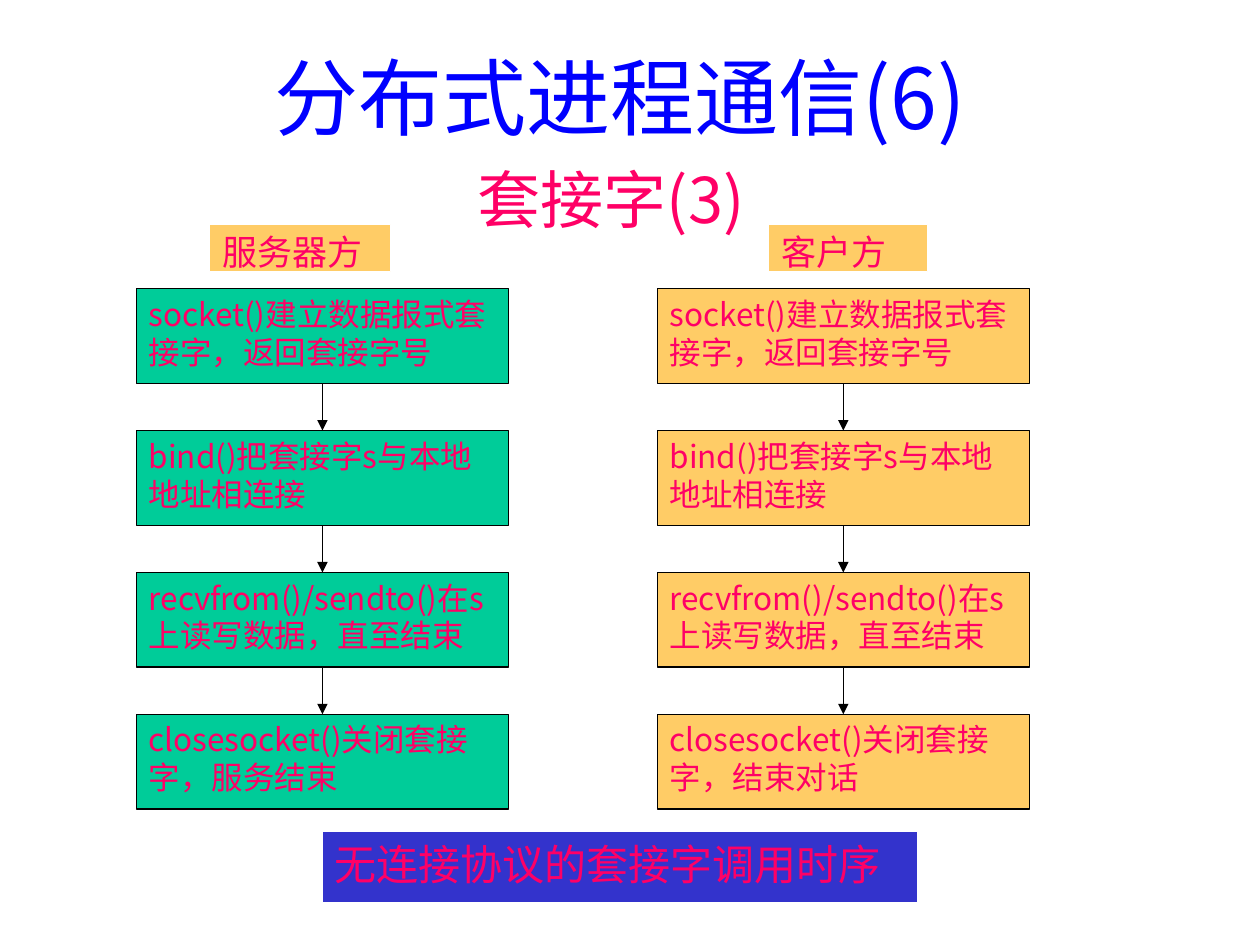
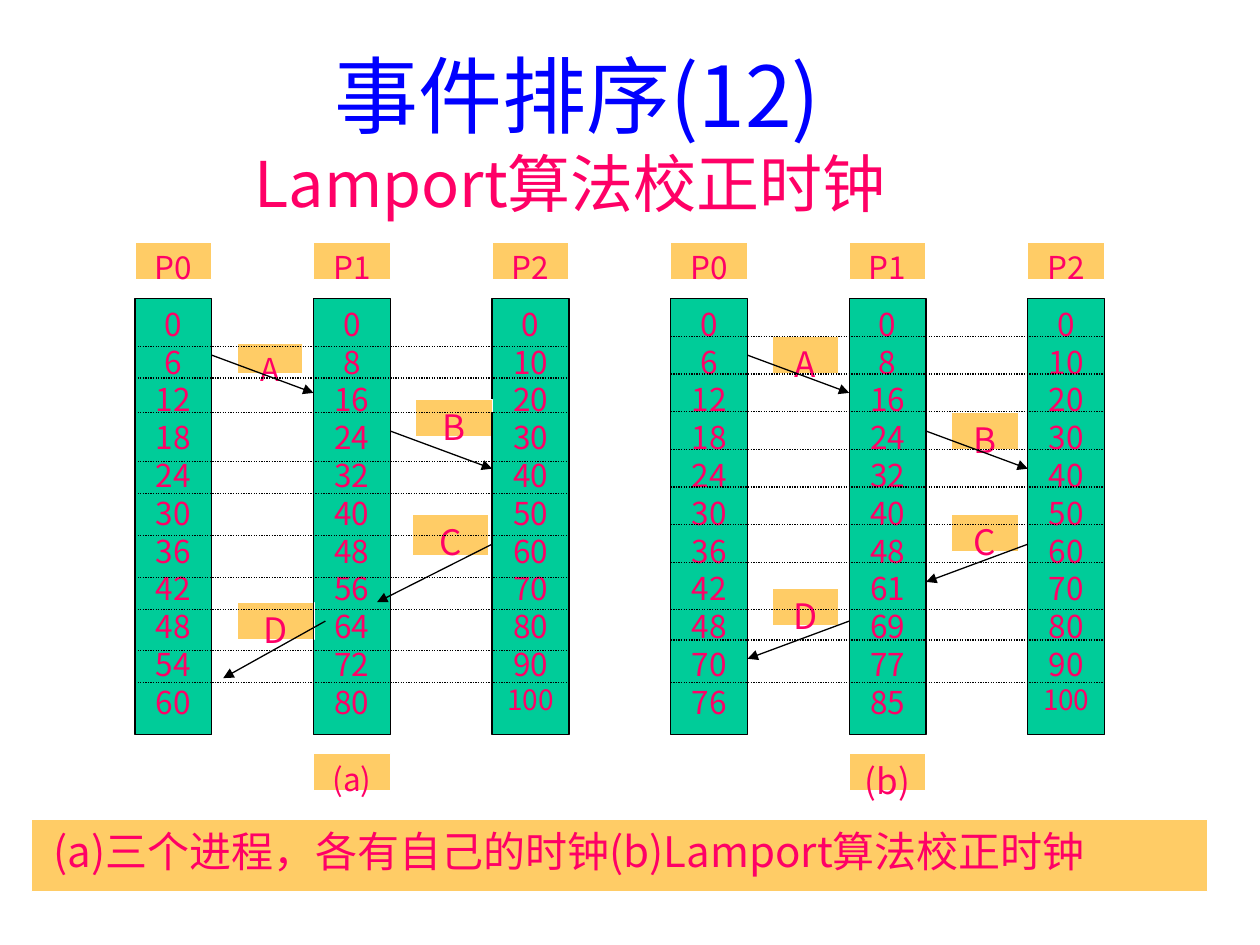
from dataclasses import dataclass
from typing import Iterable, NamedTuple

from lxml.etree import SubElement
from pptx import Presentation
from pptx.dml.color import RGBColor
from pptx.enum.dml import MSO_LINE
from pptx.enum.shapes import MSO_CONNECTOR, MSO_SHAPE
from pptx.enum.text import MSO_ANCHOR, PP_ALIGN
from pptx.oxml.ns import qn
from pptx.presentation import Presentation as Deck
from pptx.shapes.autoshape import Shape
from pptx.slide import Slide
from pptx.util import Cm, Pt

FONT = "Noto Sans CJK JP"
COLORS = {
    "title": "0000FF",
    "text": "FF0066",
    "green": "00CC99",
    "orange": "FFCC66",
    "blue": "3333CC",
    "black": "000000",
    "white": "FFFFFF",
}
LINE_WIDTH = Pt(0.75)


class Area(NamedTuple):
    """A rectangle in centimetres."""
    left: float
    top: float
    width: float
    height: float

    def lengths(self) -> list[Cm]:
        return [Cm(value) for value in self]


class Arrow(NamedTuple):
    """Start and end in centimetres."""
    x1: float
    y1: float
    x2: float
    y2: float


class Message(NamedTuple):
    name: str
    label: Area
    size: int
    arrow: Arrow


@dataclass
class Flow:
    """One side of the socket call sequence."""
    heading: str
    heading_area: Area
    left: float
    fill: str
    closing: str


@dataclass
class ClockPanel:
    """Three process clocks; message positions count from the panel's left."""
    left: float
    tag: str
    tag_size: int
    clocks: list[Iterable[int]]
    ticks: list[float]
    messages: list[Message]


def color(name: str) -> RGBColor:
    return RGBColor.from_string(COLORS[name])


def style_run(span, size: int, tint: str = "text") -> None:
    span.font.size = Pt(size)
    span.font.name = FONT
    span.font.color.rgb = color(tint)
    SubElement(span._r.get_or_add_rPr(), qn("a:ea"), typeface=FONT)


def add_title(page: Slide, area: Area, title: str, subtitle: str, end_size: int) -> None:
    """Add title and subtitle; end_size is the size of the closing space."""
    frame = page.shapes.add_textbox(*area.lengths()).text_frame
    frame.word_wrap = True
    frame.vertical_anchor = MSO_ANCHOR.MIDDLE
    para = frame.paragraphs[0]
    para.text = f"{title}\v{subtitle}"
    para.alignment = PP_ALIGN.CENTER
    para.add_run().text = " "
    for span, size, tint in zip(para.runs, (48, 36, end_size), ("title", "text", "title")):
        style_run(span, size, tint)


def add_box(page: Slide, area: Area, text: str, size: int, fill: str = "orange",
            edge: str = "white", align: PP_ALIGN = PP_ALIGN.LEFT) -> Shape:
    box = page.shapes.add_shape(MSO_SHAPE.RECTANGLE, *area.lengths())
    box.shadow.inherit = False
    box.fill.solid()
    box.fill.fore_color.rgb = color(fill)
    box.line.color.rgb = color(edge)
    box.line.width = LINE_WIDTH
    frame = box.text_frame
    frame.word_wrap = True
    frame.vertical_anchor = MSO_ANCHOR.TOP
    frame.text = text
    for para in frame.paragraphs:
        para.alignment = align
        for span in para.runs:
            style_run(span, size)
    return box


def add_line(page: Slide, ends: Arrow, head: bool = False, dotted: bool = False) -> None:
    line = page.shapes.add_connector(MSO_CONNECTOR.STRAIGHT, *(Cm(value) for value in ends))
    line.line.color.rgb = color("black")
    line.line.width = LINE_WIDTH
    if dotted:
        line.line.dash_style = MSO_LINE.ROUND_DOT
    properties = line._element.spPr
    if head:
        SubElement(properties.find(qn("a:ln")), qn("a:tailEnd"), type="triangle")
    SubElement(properties, qn("a:effectLst"))


STEP_WIDTH, STEP_HEIGHT = 7.5, 1.91
STEP_TOP, STEP_PITCH = 5.82, 2.86
SHARED_STEPS = [
    "socket()建立数据报式套接字，返回套接字号",
    "bind()把套接字s与本地地址相连接",
    "recvfrom()/sendto()在s上读写数据，直至结束",
]
FLOWS = [
    Flow("服务器方", Area(4.23, 4.53, 3.65, 0.95), 2.75, "green", "closesocket()关闭套接字，服务结束"),
    Flow("客户方", Area(15.5, 4.53, 3.2, 0.95), 13.25, "orange", "closesocket()关闭套接字，结束对话"),
]


def draw_flow(page: Slide, flow: Flow) -> None:
    add_box(page, flow.heading_area, flow.heading, 20)
    center = flow.left + STEP_WIDTH / 2
    for index, step in enumerate([*SHARED_STEPS, flow.closing]):
        top = STEP_TOP + index * STEP_PITCH
        add_box(page, Area(flow.left, top, STEP_WIDTH, STEP_HEIGHT), step, 18, flow.fill, "black")
        if index:
            add_line(page, Arrow(center, top - STEP_PITCH + STEP_HEIGHT, center, top), head=True)


CLOCK_WIDTH, CLOCK_PITCH = 1.55, 3.6
CLOCK_TOP, CLOCK_HEIGHT = 6.02, 8.79
P1, P2 = CLOCK_PITCH, 2 * CLOCK_PITCH
PANEL_WIDTH = P2 + CLOCK_WIDTH
TAG_HEIGHT = 0.76
EDGE_MARKS = [(P1, 6.78), (P1, 12.14), (P2, 10.59), (P2, 8.31)]
ARROW_A = Arrow(CLOCK_WIDTH, 7.16, P1, 7.92)
ARROW_B = Arrow(P1 + CLOCK_WIDTH, 8.69, P2, 9.45)
P2_CLOCK = range(0, 101, 10)
PANELS = [
    ClockPanel(
        2.72, "(a)", 18,
        [range(0, 61, 6), range(0, 81, 8), P2_CLOCK],
        [6.99, 7.62, 8.31, 9.31, 9.95, 10.8, 11.64, 12.28, 13.12, 13.76],
        [
            Message("A", Area(2.06, 6.93, 1.32, 0.61), 18, ARROW_A),
            Message("B", Area(5.66, 8.05, 1.55, 0.76), 20, ARROW_B),
            Message("C", Area(5.59, 10.36, 1.55, 0.84), 20, Arrow(P2, 10.97, 4.88, 12.14)),
            Message("D", Area(2.06, 12.14, 1.55, 0.76), 20, Arrow(3.84, 12.52, 1.78, 13.67)),
        ],
    ),
    ClockPanel(
        13.52, "(b)", 20,
        [[*range(0, 49, 6), 70, 76], [*range(0, 49, 8), *range(61, 86, 8)], P2_CLOCK],
        [*(6.78 + 0.76 * row for row in range(7)), 12.28, 12.9, 13.76],
        [
            Message("A", Area(2.06, 6.78, 1.32, 0.76), 20, ARROW_A),
            Message("B", Area(5.66, 8.31, 1.35, 0.76), 20, ARROW_B),
            Message("C", Area(5.66, 10.36, 1.35, 0.76), 20,
                    Arrow(P2, 10.97, P1 + CLOCK_WIDTH, 11.73)),
            Message("D", Area(2.06, 11.86, 1.32, 0.76), 20, Arrow(P1, 12.52, CLOCK_WIDTH, 13.28)),
        ],
    ),
]


def draw_clock_panel(page: Slide, panel: ClockPanel) -> None:
    left, middle = panel.left, PP_ALIGN.CENTER
    for index, clock in enumerate(panel.clocks):
        x = left + index * CLOCK_PITCH
        add_box(page, Area(x, 4.88, CLOCK_WIDTH, TAG_HEIGHT), f"P{index}", 18, align=middle)
        column = add_box(page, Area(x, CLOCK_TOP, CLOCK_WIDTH, CLOCK_HEIGHT),
                         "\n".join(map(str, clock)), 18, "green", "black", middle)
        last = column.text_frame.paragraphs[-1].runs[0]
        if len(last.text) == 3:
            last.font.size = Pt(16)
    for message in panel.messages:
        label = message.label._replace(left=left + message.label.left)
        add_box(page, label, message.name, message.size, align=middle)
    for y in panel.ticks:
        add_line(page, Arrow(left, y, left + PANEL_WIDTH, y), dotted=True)
    for x, y in EDGE_MARKS:
        add_line(page, Arrow(left + x, y, left + x, y + 0.76))
    for message in panel.messages:
        x1, y1, x2, y2 = message.arrow
        add_line(page, Arrow(left + x1, y1, left + x2, y2), head=True)
    add_box(page, Area(left + P1, 15.19, CLOCK_WIDTH, TAG_HEIGHT), panel.tag, panel.tag_size,
            align=middle)


def add_page(deck: Deck) -> Slide:
    return deck.slides.add_slide(deck.slide_layouts[6])


def draw_socket_page(deck: Deck) -> None:
    page = add_page(deck)
    add_title(page, Area(1.7, 1.27, 21.59, 3.18), "分布式进程通信(6)", "套接字(3)", 44)
    for flow in FLOWS:
        draw_flow(page, flow)
    add_box(page, Area(6.5, 16.77, 12, 1.42), "无连接协议的套接字调用时序", 24, "blue")


def draw_clock_page(deck: Deck) -> None:
    page = add_page(deck)
    add_title(page, Area(0.84, 1.07, 21.59, 3.18), "事件排序(12)", "Lamport算法校正时钟", 36)
    for panel in PANELS:
        draw_clock_panel(page, panel)
    add_box(page, Area(0.64, 16.51, 23.7, 1.47),
            " (a)三个进程，各有自己的时钟(b)Lamport算法校正时钟", 24, align=PP_ALIGN.JUSTIFY)


def main() -> None:
    deck = Presentation()
    deck.slide_width, deck.slide_height = Cm(25.4), Cm(19.05)
    draw_socket_page(deck)
    draw_clock_page(deck)
    deck.save("out.pptx")


if __name__ == "__main__":
    main()
